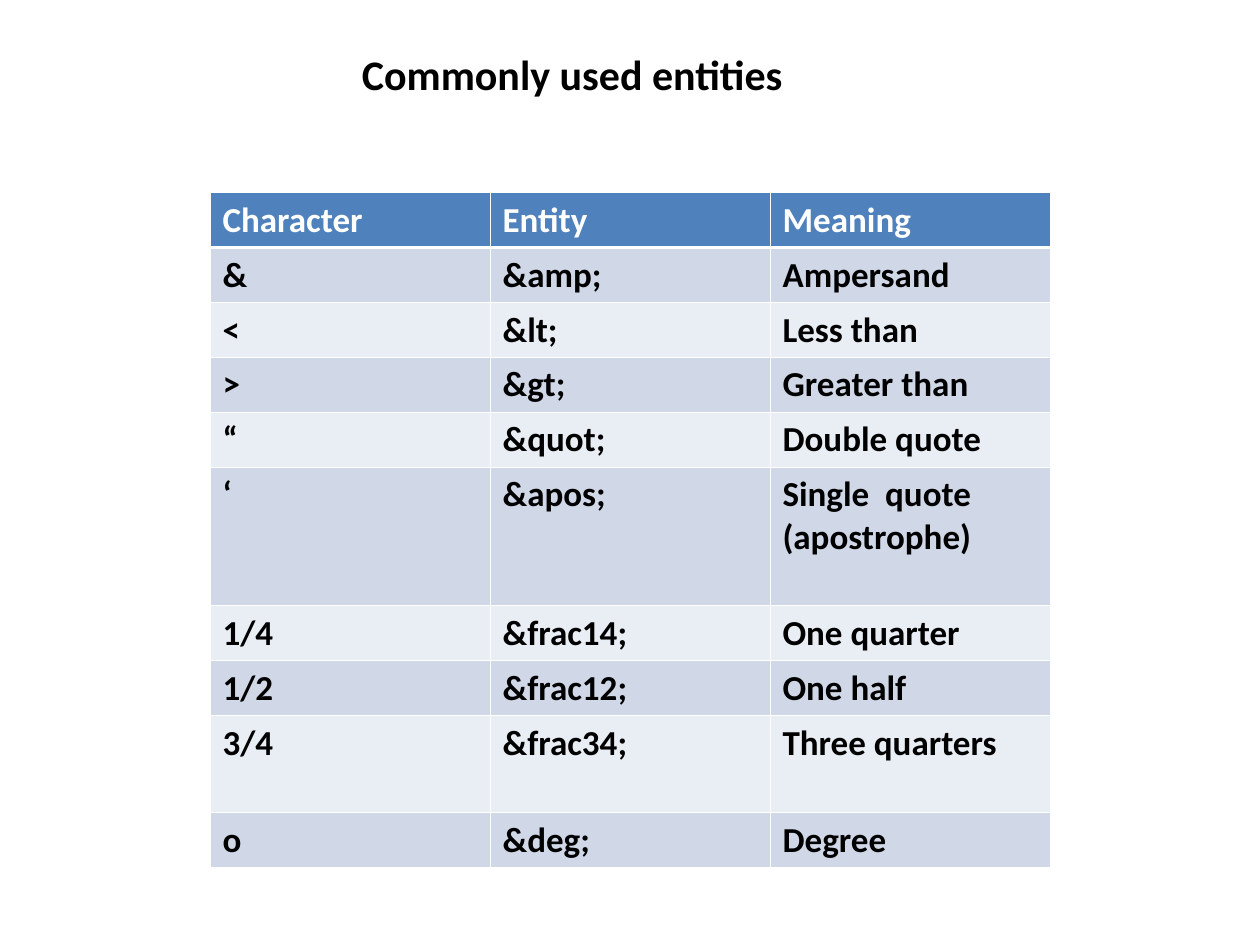
from dataclasses import dataclass

from lxml import etree
from pptx import Presentation
from pptx.dml.color import RGBColor
from pptx.enum.text import MSO_ANCHOR, MSO_AUTO_SIZE, PP_ALIGN
from pptx.oxml.ns import qn
from pptx.util import Pt

CENTER, LEFT = PP_ALIGN.CENTER, PP_ALIGN.LEFT
TOP = MSO_ANCHOR.TOP
GROW = MSO_AUTO_SIZE.SHAPE_TO_FIT_TEXT

WHITE, BLACK, BLUE = "FFFFFF", "000000", "4F81BD"
BANDS = ("D0D8E8", "E9EDF4")
THIN, THICK = 0.45, 1.47
ROW_HEIGHT = 31.4
COLUMN_WIDTH = 160
MARGINS = {"margin_left": Pt(7.2), "margin_right": Pt(7.2),
           "margin_top": Pt(3.6), "margin_bottom": Pt(3.6)}


@dataclass
class EntityRow:
    character: str
    entity: str
    meaning: str
    height: float = ROW_HEIGHT


HEADER = EntityRow("Character", "Entity", "Meaning")
ENTITIES = [
    EntityRow("&", "&amp;", "Ampersand"),
    EntityRow("<", "&lt;", "Less than"),
    EntityRow(">", "&gt;", "Greater than"),
    EntityRow("“", "&quot;", "Double quote"),
    EntityRow("‘", "&apos;", "Single  quote (apostrophe)", 79.2),
    EntityRow("1/4", "&frac14;", "One quarter"),
    EntityRow("1/2", "&frac12;", "One half"),
    EntityRow("3/4", "&frac34;", "Three quarters", 55.4),
    EntityRow("o", "&deg;", "Degree"),
]


def rgb(color: str) -> RGBColor:
    return RGBColor.from_string(color)


def set_attrs(obj, values: dict) -> None:
    for name, value in values.items():
        setattr(obj, name, value)


def write(tf, text: str, size: float, color: str, align=LEFT) -> None:
    p = tf.paragraphs[0]
    p.alignment = align
    r = p.add_run()
    r.text = text
    set_attrs(r.font, {"name": "Calibri", "size": Pt(size), "bold": True})
    r.font.color.rgb = rgb(color)


def add_borders(cell, top: float, bottom: float) -> None:
    tcPr = cell._tc.get_or_add_tcPr()
    widths = {"a:lnL": THIN, "a:lnR": THIN, "a:lnT": top, "a:lnB": bottom}
    for tag, width in widths.items():
        ln = etree.SubElement(tcPr, qn(tag), w=str(Pt(width)))
        fill = etree.SubElement(ln, qn("a:solidFill"))
        etree.SubElement(fill, qn("a:srgbClr"), val=WHITE)


def add_title(s, text: str) -> None:
    sp = s.shapes.title
    set_attrs(sp, {"left": Pt(24), "top": Pt(24),
                   "width": Pt(606), "height": Pt(36)})
    tf = sp.text_frame
    set_attrs(tf, {"word_wrap": True, "auto_size": GROW,
                   "vertical_anchor": TOP, **MARGINS})
    write(tf, text, 24, BLACK, CENTER)
    tf.paragraphs[0].space_before = Pt(15)


def add_entity_table(s, left: float, top: float, rows: list[EntityRow]) -> None:
    height = sum(row.height for row in rows)
    table = s.shapes.add_table(len(rows), 3, Pt(left), Pt(top),
                               Pt(3 * COLUMN_WIDTH), Pt(height)).table
    for column in table.columns:
        column.width = Pt(COLUMN_WIDTH)
    for i, row in enumerate(rows):
        table.rows[i].height = Pt(row.height)
        # Header first, then alternating bands
        fill = BLUE if i == 0 else BANDS[(i - 1) % 2]
        color = WHITE if i == 0 else BLACK
        for j, text in enumerate((row.character, row.entity, row.meaning)):
            cell = table.cell(i, j)
            set_attrs(cell, MARGINS)
            add_borders(cell, THICK if i == 1 else THIN,
                        THICK if i == 0 else THIN)
            cell.fill.solid()
            cell.fill.fore_color.rgb = rgb(fill)
            write(cell.text_frame, text, 20, color)


def main() -> None:
    prs = Presentation()
    set_attrs(prs, {"slide_width": Pt(720), "slide_height": Pt(540)})
    s = prs.slides.add_slide(prs.slide_layouts[5])
    add_title(s, "Commonly used entities")
    add_entity_table(s, 120, 110, [HEADER, *ENTITIES])
    prs.save("out.pptx")


if __name__ == "__main__":
    main()
